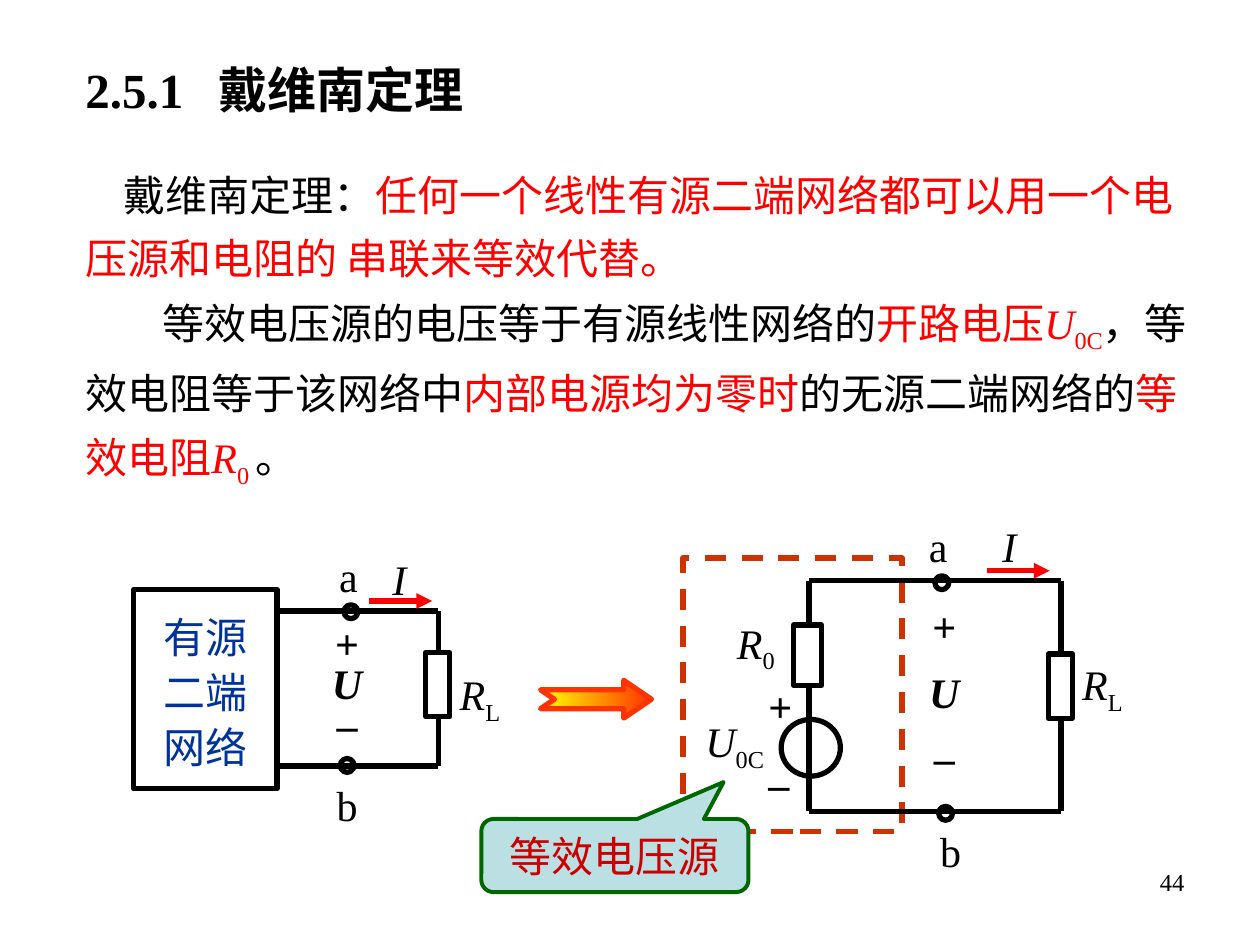
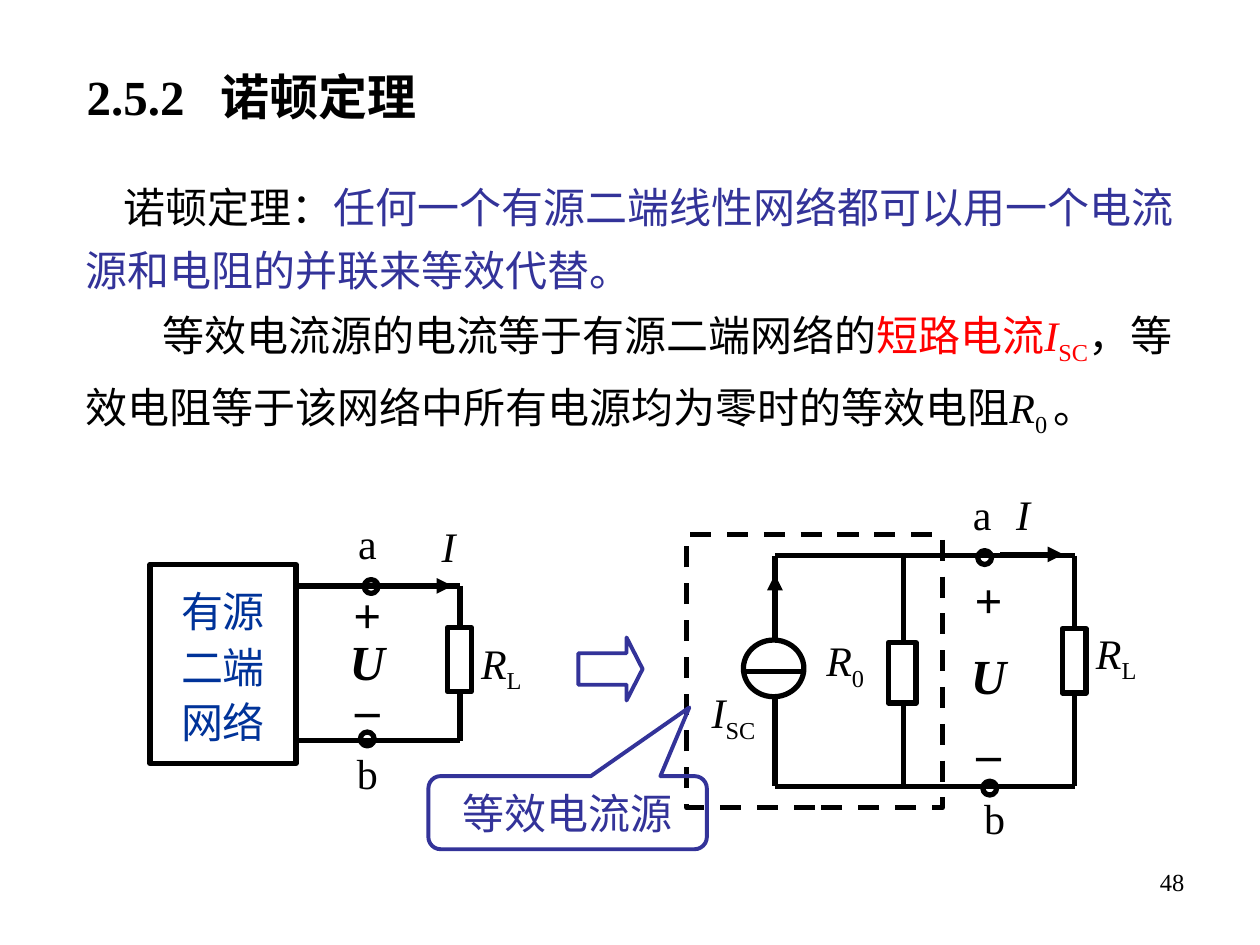
from dataclasses import dataclass

from lxml import etree
from pptx import Presentation
from pptx.dml.color import RGBColor
from pptx.enum.dml import MSO_LINE
from pptx.enum.shapes import MSO_CONNECTOR, MSO_SHAPE
from pptx.enum.text import MSO_ANCHOR, MSO_AUTO_SIZE, PP_ALIGN
from pptx.oxml.ns import qn
from pptx.util import Inches, Pt


@dataclass(frozen=True)
class Theme:
    font: str = "Times New Roman"
    black: str = "000000"
    red: str = "FF0000"
    indigo: str = "333399"
    blue: str = "003399"
    brick: str = "CC3300"
    crimson: str = "CC0000"
    green: str = "006600"
    pale_blue: str = "BBE0E3"
    yellow: str = "FFFF00"
    orange: str = "FF3300"
    white: str = "FFFFFF"
    title_size: int = 28
    text_size: int = 24
    number_size: int = 14
    wire: float = 3
    thin: float = 2.25


theme = Theme()
STYLES = {
    "": {},
    "bold": {"bold": True},
    "italic": {"italic": True},
    "bold italic": {"bold": True, "italic": True},
    "sub": {},
}


def write(shape, paragraphs, size=theme.text_size, align=PP_ALIGN.LEFT, spacing=None,
          wrap=False, anchor=MSO_ANCHOR.TOP, grow=True, indents=(), tab=None):
    frame = shape.text_frame
    frame_format = {
        "word_wrap": wrap,
        "vertical_anchor": anchor,
        "auto_size": MSO_AUTO_SIZE.SHAPE_TO_FIT_TEXT if grow else MSO_AUTO_SIZE.NONE,
    }
    for name, value in frame_format.items():
        setattr(frame, name, value)
    for index, spans in enumerate(paragraphs):
        para = frame.add_paragraph() if index else frame.paragraphs[0]
        for name, value in {"alignment": align, "line_spacing": spacing}.items():
            setattr(para, name, value)
        properties = para._p.get_or_add_pPr()
        if indents:
            properties.set("marL", "0")
            properties.set("indent", str(Inches(indents[index])))
        if tab:
            tabs = etree.SubElement(properties, qn("a:tabLst"))
            etree.SubElement(tabs, qn("a:tab"), pos=str(Inches(tab)), algn="l")
        for text, style, color in spans:
            span = para.add_run()
            span.text = text
            for name, value in {"name": theme.font, "size": Pt(size), **STYLES[style]}.items():
                setattr(span.font, name, value)
            span.font.color.rgb = RGBColor.from_string(color)
            if style == "sub":
                span._r.get_or_add_rPr().set("baseline", "-25000")


def draw(page, preset, place, line=theme.black, width=theme.wire, fill=(), adjust=(), dash=None):
    shape = page.shapes.add_shape(preset, *map(Inches, place))
    shape.shadow.inherit = False
    for index, value in enumerate(adjust):
        shape.adjustments[index] = value
    if len(fill) == 2:
        shape.fill.gradient()
        shape.fill.gradient_angle = 0
        for stop, color in zip(shape.fill.gradient_stops, fill):
            stop.color.rgb = RGBColor.from_string(color)
    elif fill:
        shape.fill.solid()
        shape.fill.fore_color.rgb = RGBColor.from_string(fill[0])
    else:
        shape.fill.background()
    shape.line.color.rgb = RGBColor.from_string(line)
    for name, value in {"width": Pt(width), "dash_style": dash}.items():
        setattr(shape.line, name, value)
    return shape


BLACK, RED, INDIGO = theme.black, theme.red, theme.indigo
lessons = [
    {
        "number": "44",
        "title": "2.5.1\t戴维南定理",
        "title_place": (0.58, 0.42, 7, 0.67),
        "body_place": (0.58, 1.25, 9, 2.63),
        "body": [
            [("戴维南定理：", "", BLACK),
             ("任何一个线性有源二端网络都可以用一个电压源和电阻的 串联来等效代替。", "", RED)],
            [("等效电压源的电压等于有源线性网络的", "", BLACK), ("开路电压", "", RED),
             ("U", "italic", RED), ("0C", "sub", RED), ("，等效电阻等于该网络中", "", BLACK),
             ("内部电源均为零时", "", RED), ("的无源二端网络的", "", BLACK),
             ("等效电阻", "", RED), ("R", "italic", RED), ("0 ", "sub", RED), ("。", "", BLACK)],
        ],
        "frame": {"place": (5.42, 4.43, 1.74, 2.17), "line": theme.brick},
        "arrow": {"preset": MSO_SHAPE.NOTCHED_RIGHT_ARROW, "place": (4.29, 5.4, 0.88, 0.3),
                  "adjust": (0.5, 0.733), "fill": (theme.yellow, theme.orange),
                  "line": theme.orange},
        "network": (1.06, 4.68, 1.14, 1.58),
        "current_color": RED,
        "voltage_size": 24,
        "ports": [
            {"x": (2.22, 3.48), "y": (4.85, 6.08), "load": 5.18, "load_label": 5.26,
             "nodes": [(2.73, 4.8), (2.7, 6.02)], "a": (2.59, 4.32), "b": (2.57, 6.14),
             "voltage": (2.53, 4.93, 0.45, 1.07), "spacing": 0.8,
             "current": (2.93, 4.77), "current_label": (3.01, 4.34)},
            {"x": (6.42, 8.42), "y": (4.61, 6.44), "load": 5.19, "load_label": 5.18,
             "nodes": [(7.42, 4.57), (7.45, 6.4)], "a": (7.27, 4.08), "b": (7.36, 6.5),
             "voltage": (7.27, 4.6, 0.45, 1.68), "spacing": 1.3,
             "current": (7.83, 4.53), "current_label": (7.85, 4.08)},
        ],
        "source": (6.2, 5.71, 0.47, 0.45),
        "inner_resistor": (6.3, 4.96, 0.22, 0.48),
        "source_wires": [(6.42, 4.61, 6.42, 4.96), (6.42, 5.44, 6.42, 6.44)],
        "source_arrows": [],
        "source_labels": [
            ((5.5, 5.63, 1, 0.5), "U", "0C"), ((5.75, 4.85, 0.78, 0.5), "R", "0"),
        ],
        "signs": [((6, 5.35, 0.4, 0.51), "+"), ((6, 5.85, 0.37, 0.5), "_")],
        "callout": {"place": (3.82, 6.5, 2.12, 0.58), "adjust": (0.407, -1.006, 0.167),
                    "fill": (theme.pale_blue,), "line": theme.green},
        "callout_text": ("等效电压源", "", theme.crimson),
    },
    {
        "number": "48",
        "title": "2.5.2\t诺顿定理",
        "title_place": (0.59, 0.48, 4.1, 0.67),
        "body_place": (0.58, 1.35, 9, 2.12),
        "body": [
            [("诺顿定理：", "", BLACK),
             ("任何一个有源二端线性网络都可以用一个电流源和电阻的并联来等效代替。", "", INDIGO)],
            [("等效电流源的电流等于有源二端网络的", "", BLACK), ("短路电流", "", RED),
             ("I", "italic", RED), ("SC", "sub", RED),
             ("，等效电阻等于该网络中所有电源均为零时的等效电阻", "", BLACK),
             ("R", "italic", BLACK), ("0 ", "sub", BLACK), ("。", "", BLACK)],
        ],
        "frame": {"place": (5.45, 4.24, 2.03, 2.17), "line": BLACK},
        "arrow": {"preset": MSO_SHAPE.RIGHT_ARROW, "place": (4.59, 5.06, 0.51, 0.5),
                  "adjust": (0.5, 0.255), "fill": (theme.white,), "line": INDIGO,
                  "width": theme.thin},
        "network": (1.19, 4.48, 1.16, 1.58),
        "current_color": BLACK,
        "voltage_size": 28,
        "ports": [
            {"x": (2.37, 3.65), "y": (4.65, 5.88), "load": 4.98, "load_label": 5.01,
             "nodes": [(2.89, 4.6), (2.86, 5.81)], "a": (2.74, 4.06), "b": (2.73, 5.88),
             "voltage": (2.67, 4.68, 0.49, 1.23), "spacing": 0.8,
             "current": (3.09, 4.65), "current_label": (3.4, 4.08)},
            {"x": (6.15, 8.53), "y": (4.41, 6.24), "load": 4.99, "load_label": 4.93,
             "nodes": [(7.76, 4.37), (7.8, 6.2)], "a": (7.62, 3.83), "b": (7.71, 6.24),
             "voltage": (7.6, 4.33, 0.49, 1.94), "spacing": 1.3,
             "current": (7.94, 4.4), "current_label": (7.96, 3.83)},
        ],
        "source": (5.9, 5.08, 0.48, 0.45),
        "inner_resistor": (7.05, 5.1, 0.22, 0.48),
        "source_wires": [
            (6.15, 4.41, 6.15, 5.08), (6.15, 5.54, 6.15, 6.24), (5.9, 5.33, 6.36, 5.33),
            (7.17, 4.41, 7.17, 5.1), (7.17, 5.58, 7.17, 6.24),
        ],
        "source_arrows": [(6.15, 5.06, 6.15, 4.56)],
        "source_labels": [
            ((5.55, 5.4, 0.78, 0.51), "I", "SC"), ((6.46, 4.99, 0.8, 0.51), "R", "0"),
        ],
        "signs": [],
        "callout": {"place": (3.4, 6.16, 2.21, 0.58), "adjust": (0.437, -1.44, 0.167),
                    "line": INDIGO},
        "callout_text": ("等效电流源", "", INDIGO),
    },
]

deck = Presentation()
deck.slide_width, deck.slide_height = Inches(10), Inches(7.5)

for lesson in lessons:
    page = deck.slides.add_slide(deck.slide_layouts[6])
    centred = {"align": PP_ALIGN.CENTER}
    labels = [
        ((7.17, 6.83, 2.33, 0.52), [[(lesson["number"], "", BLACK)]],
         {"size": theme.number_size, "align": PP_ALIGN.RIGHT, "wrap": True, "grow": False}),
        (lesson["title_place"], [[(lesson["title"], "bold", BLACK)]],
         {"size": theme.title_size, "wrap": True, "grow": False, "tab": 1.06}),
        (lesson["body_place"], lesson["body"],
         {"spacing": 1.25, "wrap": True, "anchor": MSO_ANCHOR.MIDDLE, "indents": (0.3, 0.61)}),
    ]
    wires = [(ends, BLACK, False) for ends in lesson["source_wires"]]
    wires += [(ends, BLACK, True) for ends in lesson["source_arrows"]]

    draw(page, MSO_SHAPE.RECTANGLE, dash=MSO_LINE.DASH, **lesson["frame"])
    draw(page, **lesson["arrow"])
    network = draw(page, MSO_SHAPE.RECTANGLE, lesson["network"])
    write(network, [[(line, "", theme.blue)] for line in ("有源", "二端", "网络")],
          spacing=1.1, anchor=MSO_ANCHOR.MIDDLE, grow=False, **centred)
    draw(page, MSO_SHAPE.OVAL, lesson["source"])
    draw(page, MSO_SHAPE.RECTANGLE, lesson["inner_resistor"])

    for port in lesson["ports"]:
        (left, right), (top, bottom) = port["x"], port["y"]
        load, current = port["load"], port["current"]
        draw(page, MSO_SHAPE.RECTANGLE, (right - 0.1, load, 0.19, 0.51))
        for node in port["nodes"]:
            draw(page, MSO_SHAPE.OVAL, (*node, 0.11, 0.11))
        wires += [
            ((left, top, right, top), BLACK, False),
            ((left, bottom, right, bottom), BLACK, False),
            ((right, top, right, load), BLACK, False),
            ((right, load + 0.51, right, bottom), BLACK, False),
            ((*current, current[0] + 0.5, current[1]), lesson["current_color"], True),
        ]
        voltage = [("+", "bold"), ("U", "bold italic"), ("–", "bold")]
        labels += [
            ((right + 0.07, port["load_label"], 0.54, 0.51),
             [[("R", "italic", BLACK), ("L", "sub", BLACK)]], {}),
            ((*port["a"], 0.35, 0.51), [[("a", "", BLACK)]], centred),
            ((*port["b"], 0.37, 0.51), [[("b", "", BLACK)]], centred),
            ((*port["current_label"], 0.32, 0.51), [[("I", "italic", BLACK)]], centred),
            (port["voltage"], [[(text, style, BLACK)] for text, style in voltage],
             {"size": lesson["voltage_size"], "spacing": port["spacing"], **centred}),
        ]

    for ends, color, arrowhead in wires:
        wire = page.shapes.add_connector(MSO_CONNECTOR.STRAIGHT, *map(Inches, ends))
        wire.line.color.rgb = RGBColor.from_string(color)
        wire.line.width = Pt(theme.wire)
        if arrowhead:
            etree.SubElement(wire.line._get_or_add_ln(), qn("a:tailEnd"), type="triangle")
        etree.SubElement(wire._element.spPr, qn("a:effectLst"))

    for place, symbol, index in lesson["source_labels"]:
        spans = [(symbol, "italic", BLACK), (index, "sub", BLACK)]
        labels.append((place, [spans], {"wrap": True}))
    for place, sign in lesson["signs"]:
        labels.append((place, [[(sign, "bold", BLACK)]], {}))
    for place, paragraphs, text_format in labels:
        box = page.shapes.add_textbox(*map(Inches, place))
        write(box, paragraphs, **text_format)

    callout = draw(page, MSO_SHAPE.ROUNDED_RECTANGULAR_CALLOUT, width=theme.thin,
                   **lesson["callout"])
    write(callout, [[lesson["callout_text"]]], anchor=MSO_ANCHOR.MIDDLE, grow=False, **centred)

deck.save("out.pptx")
